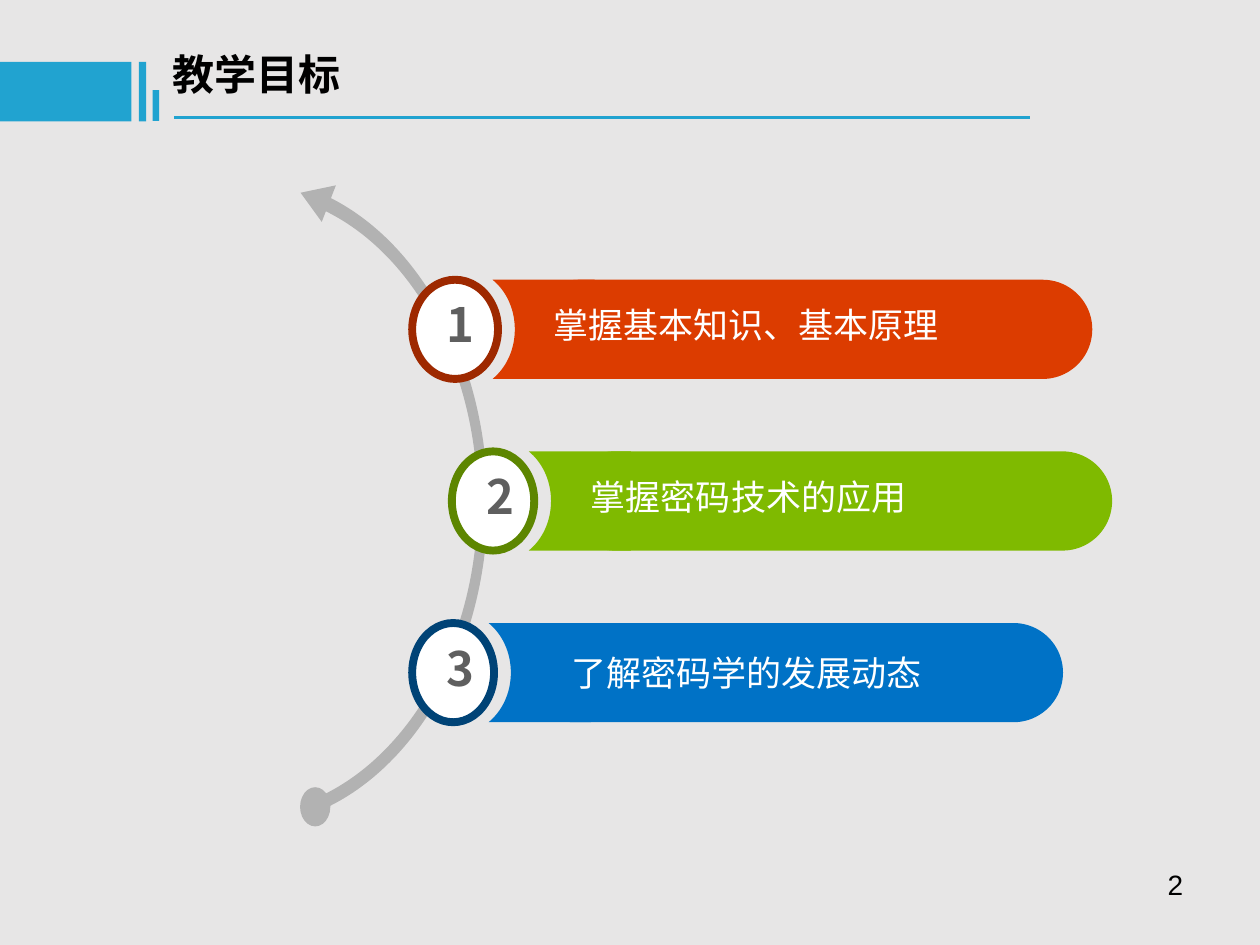
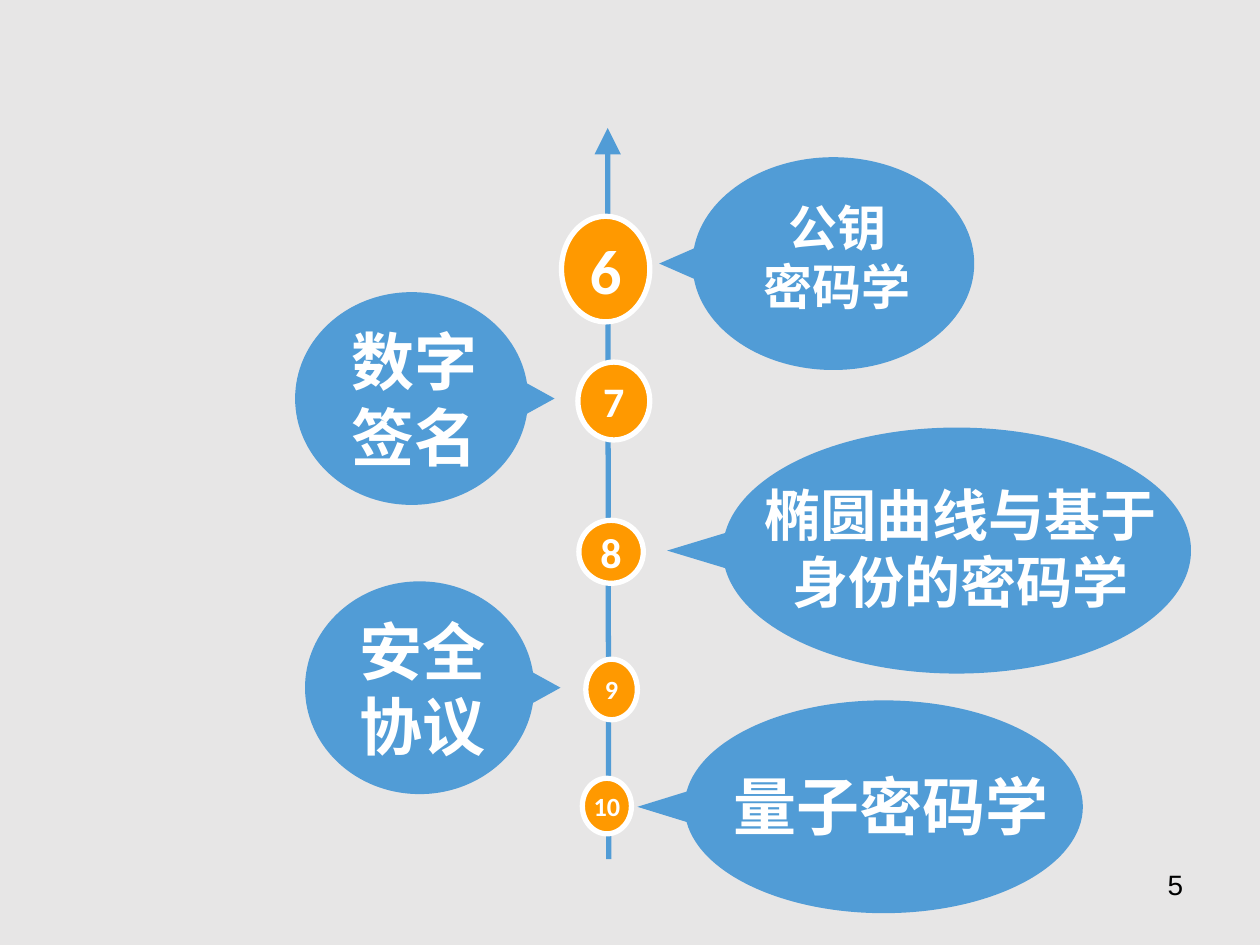
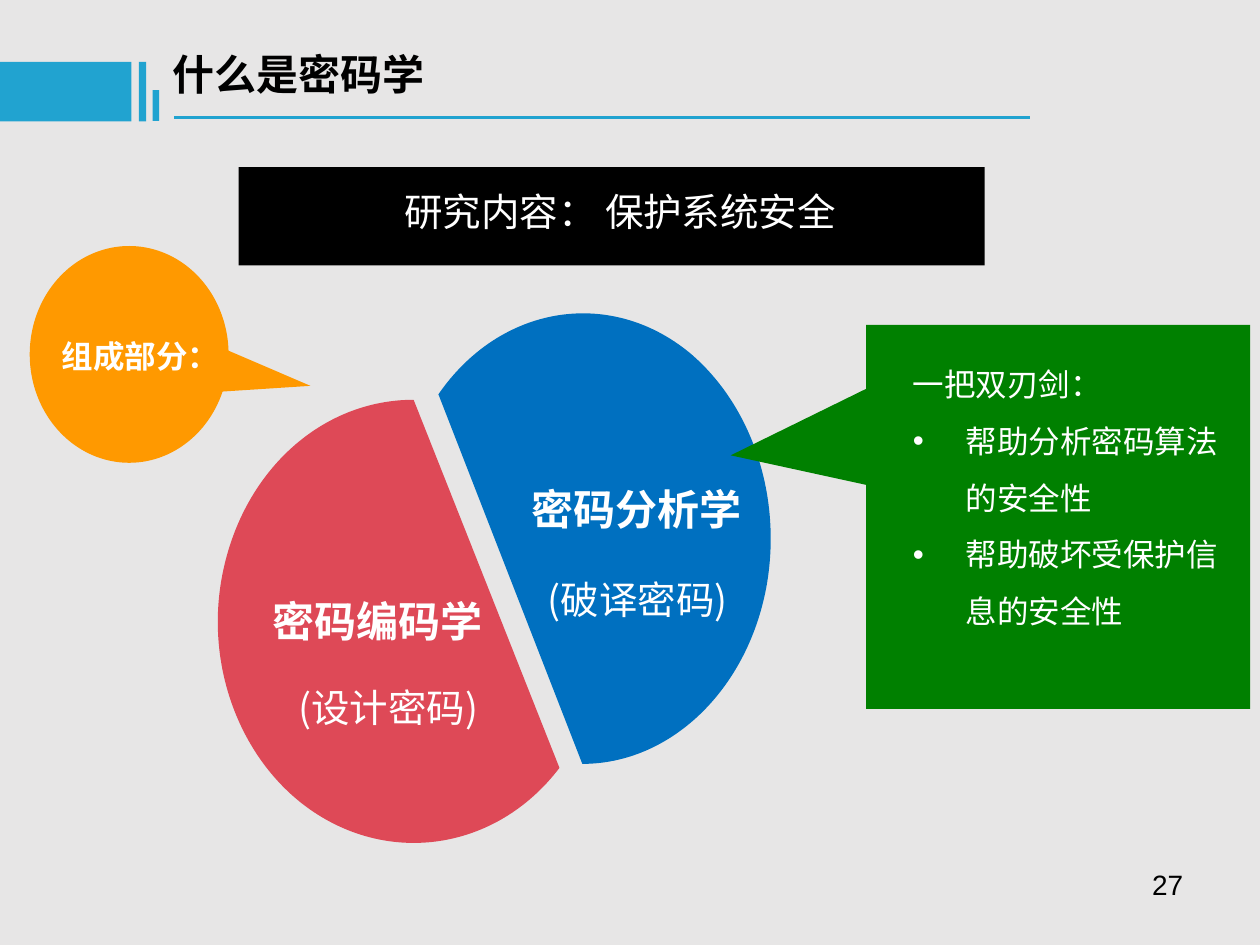
from math import cos, radians, sin, tan

from lxml import etree
from pptx import Presentation
from pptx.dml.color import RGBColor
from pptx.enum.shapes import MSO_CONNECTOR, MSO_SHAPE
from pptx.enum.text import MSO_ANCHOR, MSO_AUTO_SIZE, PP_ALIGN
from pptx.oxml.ns import qn
from pptx.util import Cm, Pt

WHITE = RGBColor(0xFF, 0xFF, 0xFF)
BLACK = RGBColor(0x00, 0x00, 0x00)
BACKGROUND = RGBColor(0xE7, 0xE6, 0xE6)
BAND_BLUE = RGBColor(0x21, 0xA3, 0xD0)
ARC_GREY = RGBColor(0xB2, 0xB2, 0xB2)
NUMBER_GREY = RGBColor(0x5F, 0x5F, 0x5F)
RED, DARK_RED = RGBColor(0xDC, 0x3C, 0x00), RGBColor(0x9E, 0x29, 0x00)
GREEN, DARK_GREEN = RGBColor(0x7F, 0xBA, 0x00), RGBColor(0x5D, 0x86, 0x00)
BLUE, DARK_BLUE = RGBColor(0x00, 0x72, 0xC6), RGBColor(0x00, 0x43, 0x76)
TIMELINE_BLUE = RGBColor(0x51, 0x9C, 0xD6)
ORANGE = RGBColor(0xFF, 0x99, 0x00)
SECTOR_RED = RGBColor(0xDE, 0x49, 0x57)
SECTOR_BLUE = RGBColor(0x00, 0x70, 0xC0)
NOTE_GREEN = RGBColor(0x00, 0x80, 0x00)

CJK_FONT = "Noto Sans CJK SC"
LEFT, CENTER, RIGHT = PP_ALIGN.LEFT, PP_ALIGN.CENTER, PP_ALIGN.RIGHT
TOP, MIDDLE = MSO_ANCHOR.TOP, MSO_ANCHOR.MIDDLE
TITLE_ONLY, TITLE_AND_BODY, BLANK = 5, 1, 6

# All places and sizes below are in centimetres: left, top, width, height.
HEADER_BLOCKS = [(0, 1.25, 2.65, 1.2), (2.8, 1.25, 0.15, 1.2), (3.08, 1.82, 0.13, 0.62)]
HEADER_RULE = (3.51, 2.37, 20.77, 2.37)
TITLE_BOX = (3.23, 0.84, 14.68, 1.27)
PAGE_NUMBER_BOX = (18.21, 17.33, 5.92, 1.32)

# Goals: label, fill, ring, circle left, circle width, bar right, label indent, label lift
GOALS = [
    ("掌握基本知识、基本原理", RED, DARK_RED, 8.31, 1.73, 22.02, 0.2, 0.2),
    ("掌握密码技术的应用", GREEN, DARK_GREEN, 9.11, 1.66, 22.42, 0.23, 0.2),
    ("了解密码学的发展动态", BLUE, DARK_BLUE, 8.31, 1.65, 21.43, 0.64, 0),
]
GOAL_TOP, GOAL_STEP, GOAL_HEIGHT = 5.64, 3.46, 2.0

# Outlines: a frame, a start point, then segments of one point (line) or three (curve)
ARC_FRAME = (0.01, 3.57, 9.83, 13.11)
ARC_START = (6.38, 3.86)
ARC_SEGMENTS = [
    [(8.41, 4.7), (9.8, 7.21), (9.83, 10.06)],
    [(9.86, 12.9), (8.48, 15.44), (6.48, 16.33)],
    [(6.4, 16.08)],
    [(8.33, 15.21), (9.65, 12.78), (9.63, 10.06)],
    [(9.6, 7.34), (8.26, 4.93), (6.3, 4.14)],
]

# Timeline: number, circle box, number size
MILESTONES = [
    ("6", (11.32, 4.36, 1.78, 2.13), 36),
    ("7", (11.65, 7.3, 1.45, 1.57), 24),
    ("8", (11.67, 10.49, 1.3, 1.27), 24),
    ("9", (11.81, 13.29, 1.04, 1.22), 15),
    ("10", (11.74, 15.69, 0.99, 1.12), 15),
]
# Topics: lines, ellipse box, tip x, text size, text shift (right, up)
TOPICS = [
    (["公钥", "密码学"], (13.96, 3.17, 5.68, 4.29), 13.29, 28, (0.08, 0.14)),
    (["数字", "签名"], (5.95, 5.89, 4.7, 4.29), 11.18, 36, (0.06, 0)),
    (["椭圆曲线与基于身份的密码学"], (14.57, 8.62, 9.44, 4.96), 13.45, 32, (0.07, 0.06)),
    (["安全", "协议"], (6.15, 11.72, 4.62, 4.29), 11.3, 36, (0.06, 0)),
    (["量子密码学"], (13.8, 14.12, 8.03, 4.29), 12.85, 36, (0.15, 0.04)),
]
TAIL_ANGLE = 8.2

# Branches: name, name place, note, note place, fill, frame, outline start, segments
BRANCHES = [
    ("密码编码学", (5.27, 11.91), "(设计密码)", (5.64, 13.69), SECTOR_RED,
     (4.4, 8.06, 7.87, 8.94), (11.28, 15.48), [
         [(10.01, 17.15), (7.82, 17.48), (6.17, 16.26)],
         [(4.8, 15.24), (4.11, 13.34), (4.5, 11.51)],
         [(4.93, 9.47), (6.5, 8.06), (8.34, 8.06)],
     ]),
    ("密码分析学", (10.49, 9.65), "(破译密码)", (10.67, 11.51), SECTOR_BLUE,
     (7.95, 6.32, 7.59, 9.09), (8.84, 7.95), [
         [(10.08, 6.15), (12.29, 5.79), (13.9, 7.11)],
         [(15.17, 8.18), (15.78, 10.03), (15.45, 11.84)],
         [(15.06, 13.92), (13.51, 15.4), (11.74, 15.4)],
     ]),
]
SWORD_TITLE = "一把双刃剑："
SWORD_EDGES = ["帮助分析密码算法的安全性", "帮助破坏受保护信息的安全性"]


def cm_all(values):
    return [Cm(value) for value in values]


def write(frame, lines, size, color, latin=CJK_FONT, bold=False, align=LEFT,
          insets=(0.25, 0.13, 0.25, 0.13), anchor=TOP, wrap=True):
    """Fill a text frame with one paragraph per line; insets run left, top, right, bottom."""
    frame.auto_size = MSO_AUTO_SIZE.NONE
    frame.word_wrap = wrap
    frame.vertical_anchor = anchor
    (frame.margin_left, frame.margin_top,
     frame.margin_right, frame.margin_bottom) = cm_all(insets)
    for index, line in enumerate(lines):
        paragraph = frame.add_paragraph() if index else frame.paragraphs[0]
        paragraph.alignment = align
        run = paragraph.add_run()
        run.text = line
        run.font.size = Pt(size)
        run.font.bold = bold
        run.font.color.rgb = color
        run.font.name = latin
        etree.SubElement(run.font._element, qn("a:ea")).set("typeface", CJK_FONT)


def add_text(slide, box, lines, size, color, **options):
    textbox = slide.shapes.add_textbox(*cm_all(box))
    write(textbox.text_frame, lines, size, color, **options)


def paint(shape, fill, line=None, line_width=0):
    shape.shadow.inherit = False
    shape.fill.solid()
    shape.fill.fore_color.rgb = fill
    if line is None:
        shape.line.fill.background()
    else:
        shape.line.color.rgb = line
        shape.line.width = Pt(line_width)
    return shape


def add_preset(slide, kind, box, fill, line=None, line_width=0):
    return paint(slide.shapes.add_shape(kind, *cm_all(box)), fill, line, line_width)


def add_callout(slide, kind, box, tip, fill):
    left, top, width, height = box
    callout = add_preset(slide, kind, box, fill)
    callout.adjustments[0] = (tip[0] - left - width / 2) / width
    callout.adjustments[1] = (tip[1] - top - height / 2) / height


def place(shape, box):
    shape.left, shape.top, shape.width, shape.height = cm_all(box)


def add_outline(slide, frame, start, segments, fill):
    """Draw a closed freeform whose three-point segments are cubic curves."""
    builder = slide.shapes.build_freeform(*cm_all(start), scale=1.0)
    builder.add_line_segments([cm_all(segment[-1]) for segment in segments], close=True)
    shape = builder.convert_to_shape()
    place(shape, frame)
    outline = next(shape._element.iter(qn("a:path")))
    outline.set("w", str(Cm(frame[2])))
    outline.set("h", str(Cm(frame[3])))
    for step in list(outline):
        outline.remove(step)
    for index, segment in enumerate([[start], *segments]):
        tag = "a:cubicBezTo" if len(segment) == 3 else "a:lnTo" if index else "a:moveTo"
        step = etree.SubElement(outline, qn(tag))
        for x, y in segment:
            point = etree.SubElement(step, qn("a:pt"))
            point.set("x", str(Cm(x - frame[0])))
            point.set("y", str(Cm(y - frame[1])))
    etree.SubElement(outline, qn("a:close"))
    return paint(shape, fill)


def add_bubble(slide, box, tip_x, fill):
    """Draw an ellipse with a narrow level tail that ends at tip_x."""
    left, top, width, height = box
    middle_x, middle_y = left + width / 2, top + height / 2
    side = 1 if tip_x > middle_x else -1
    sweep = radians(360 - 2 * TAIL_ANGLE) / 4
    handle = 4 / 3 * tan(sweep / 4)

    def spot(angle, reach=0):
        """Return a point on the ellipse, moved along its tangent by reach."""
        return (middle_x + side * width / 2 * (cos(angle) - reach * sin(angle)),
                middle_y + height / 2 * (sin(angle) + reach * cos(angle)))

    angles = [radians(TAIL_ANGLE) + sweep * part for part in range(5)]
    segments = [[spot(a, handle), spot(b, -handle), spot(b)] for a, b in zip(angles, angles[1:])]
    frame_left, frame_right = min(left, tip_x), max(left + width, tip_x)
    add_outline(slide, (frame_left, top, frame_right - frame_left, height),
                spot(angles[0]), [*segments, [(tip_x, middle_y)]], fill)


def add_line(slide, ends, color, width, arrow=False):
    connector = slide.shapes.add_connector(MSO_CONNECTOR.STRAIGHT, *cm_all(ends))
    connector.line.color.rgb = color
    connector.line.width = Pt(width)
    if arrow:
        head = etree.SubElement(connector.line._get_or_add_ln(), qn("a:tailEnd"))
        for name, value in (("type", "triangle"), ("w", "lg"), ("len", "lg")):
            head.set(name, value)
    etree.SubElement(connector._element.spPr, qn("a:effectLst"))


def add_slide(presentation, layout, page, title=None):
    slide = presentation.slides.add_slide(presentation.slide_layouts[layout])
    if title:
        place(slide.shapes.title, TITLE_BOX)
        write(slide.shapes.title.text_frame, [title], 24, BLACK, bold=True)
        for block in HEADER_BLOCKS:
            add_preset(slide, MSO_SHAPE.RECTANGLE, block, BAND_BLUE)
        add_line(slide, HEADER_RULE, BAND_BLUE, 1.5)
    add_text(slide, PAGE_NUMBER_BOX, [page], 16, BLACK, latin="Arial", align=RIGHT,
             insets=(0.28, 0.15, 0.28, 0.15))
    return slide


def add_goal(slide, index, goal):
    label, fill, ring, circle_left, circle_width, bar_right, indent, lift = goal
    top = GOAL_TOP + index * GOAL_STEP
    middle, bottom = top + GOAL_HEIGHT / 2, top + GOAL_HEIGHT
    add_preset(slide, MSO_SHAPE.OVAL, (circle_left, top, circle_width, GOAL_HEIGHT),
               WHITE, ring, 4.5)
    add_text(slide, (circle_left + 0.37, top + 0.14, 1.22, 1.47), [str(index + 1)], 27,
             NUMBER_GREY, bold=True, insets=(0.33, 0.18, 0.33, 0.18), wrap=False)

    left = circle_left + circle_width - 0.11
    right, bulge, shoulder = left + 2.06, left + 0.45, left + 0.27
    add_outline(slide, (left, top, right - left, GOAL_HEIGHT), (left, top), [
        [(right, top)], [(right, bottom)], [(left, bottom)],
        [(shoulder, bottom - 0.22), (bulge, middle + 0.42), (bulge, middle)],
        [(bulge, middle - 0.42), (shoulder, top + 0.22), (left, top)],
    ], fill)
    bar_left = left + 0.73
    bar = add_preset(slide, MSO_SHAPE.ROUNDED_RECTANGLE,
                     (bar_left, top, bar_right - bar_left, GOAL_HEIGHT), fill)
    bar.adjustments[0] = 0.5
    write(bar.text_frame, [label], 20, WHITE, latin="Arial",
          insets=(indent, 0, 0, lift), anchor=MIDDLE)


def build_goals(presentation):
    slide = add_slide(presentation, TITLE_ONLY, "2", "教学目标")
    add_outline(slide, ARC_FRAME, ARC_START, ARC_SEGMENTS, ARC_GREY)
    add_preset(slide, MSO_SHAPE.OVAL, (6.05, 15.87, 0.61, 0.79), ARC_GREY)
    arrowhead = add_preset(slide, MSO_SHAPE.ISOSCELES_TRIANGLE, (5.95, 3.69, 0.79, 0.61), ARC_GREY)
    arrowhead.rotation = 291.1
    for index, goal in enumerate(GOALS):
        add_goal(slide, index, goal)


def build_timeline(presentation):
    slide = add_slide(presentation, BLANK, "5")
    add_line(slide, (12.27, 17.32, 12.25, 2.58), TIMELINE_BLUE, 3, arrow=True)
    for number, box, size in MILESTONES:
        circle = add_preset(slide, MSO_SHAPE.OVAL, box, ORANGE, WHITE, 3)
        write(circle.text_frame, [number], size, WHITE, latin="Calibri", bold=True,
              align=CENTER, insets=(0, 0, 0, 0), anchor=MIDDLE, wrap=False)
    for lines, box, tip_x, size, (shift, lift) in TOPICS:
        left, top, width, height = box
        add_bubble(slide, box, tip_x, TIMELINE_BLUE)
        add_text(slide, (left + shift, top - lift, width, height), lines, size, WHITE,
                 latin="Calibri", bold=True, align=CENTER, anchor=MIDDLE,
                 insets=(0.3, 0, 0.3, 0))


def write_sword_list(body):
    write(body.text_frame, [SWORD_TITLE, *SWORD_EDGES], 18, WHITE, insets=(0.2, 0.1, 0.2, 0.1))
    for index, paragraph in enumerate(body.text_frame.paragraphs):
        properties = paragraph._p.get_or_add_pPr()
        properties.set("marL", str(Cm(1.07)))
        properties.set("indent", str(-Cm(1.07)))
        if index:
            color = etree.SubElement(properties, qn("a:buClr"))
            etree.SubElement(color, qn("a:srgbClr")).set("val", str(WHITE))
            etree.SubElement(properties, qn("a:buChar")).set("char", "•")
        else:
            etree.SubElement(properties, qn("a:buNone"))
        paragraph.line_spacing = 1.5
        paragraph.space_before = Pt(0)


def build_definition(presentation):
    slide = add_slide(presentation, TITLE_AND_BODY, "27", "什么是密码学")
    banner = add_preset(slide, MSO_SHAPE.RECTANGLE, (4.81, 3.37, 15.04, 1.98), BLACK)
    write(banner.text_frame, ["研究内容： 保护系统安全"], 22, WHITE, align=CENTER,
          insets=(0.34, 0, 0, 0.22), anchor=MIDDLE)

    for name, name_place, note, note_place, fill, frame, start, segments in BRANCHES:
        add_outline(slide, frame, start, segments, fill)
        add_text(slide, (*name_place, 4.67, 1.22), [name], 24, WHITE, latin="Calibri",
                 bold=True, align=CENTER, insets=(0.2, 0.1, 0.2, 0.1), wrap=False)
        add_text(slide, (*note_place, 4.37, 1.14), [note], 22, WHITE, align=CENTER,
                 insets=(0.2, 0.1, 0.2, 0.1))

    add_callout(slide, MSO_SHAPE.OVAL_CALLOUT, (0.6, 4.96, 4.01, 4.37), (6.26, 7.78), ORANGE)
    add_text(slide, (0.99, 6.67, 3.68, 1.02), ["组成部分："], 18, WHITE, latin="Calibri",
             bold=True, align=CENTER, wrap=False)

    add_callout(slide, MSO_SHAPE.RECTANGULAR_CALLOUT, (17.46, 6.55, 7.74, 7.74),
                (14.73, 9.18), NOTE_GREEN)
    body = slide.placeholders[1]
    place(body, (18.2, 6.88, 6.65, 5.92))
    write_sword_list(body)
    slide.shapes._spTree.append(body._element)  # bring the list in front of its callout


def main():
    presentation = Presentation()
    presentation.slide_width, presentation.slide_height = Cm(25.4), Cm(19.05)
    background = presentation.slide_master.background.fill
    background.solid()
    background.fore_color.rgb = BACKGROUND
    build_goals(presentation)
    build_timeline(presentation)
    build_definition(presentation)
    presentation.save("out.pptx")


if __name__ == "__main__":
    main()
